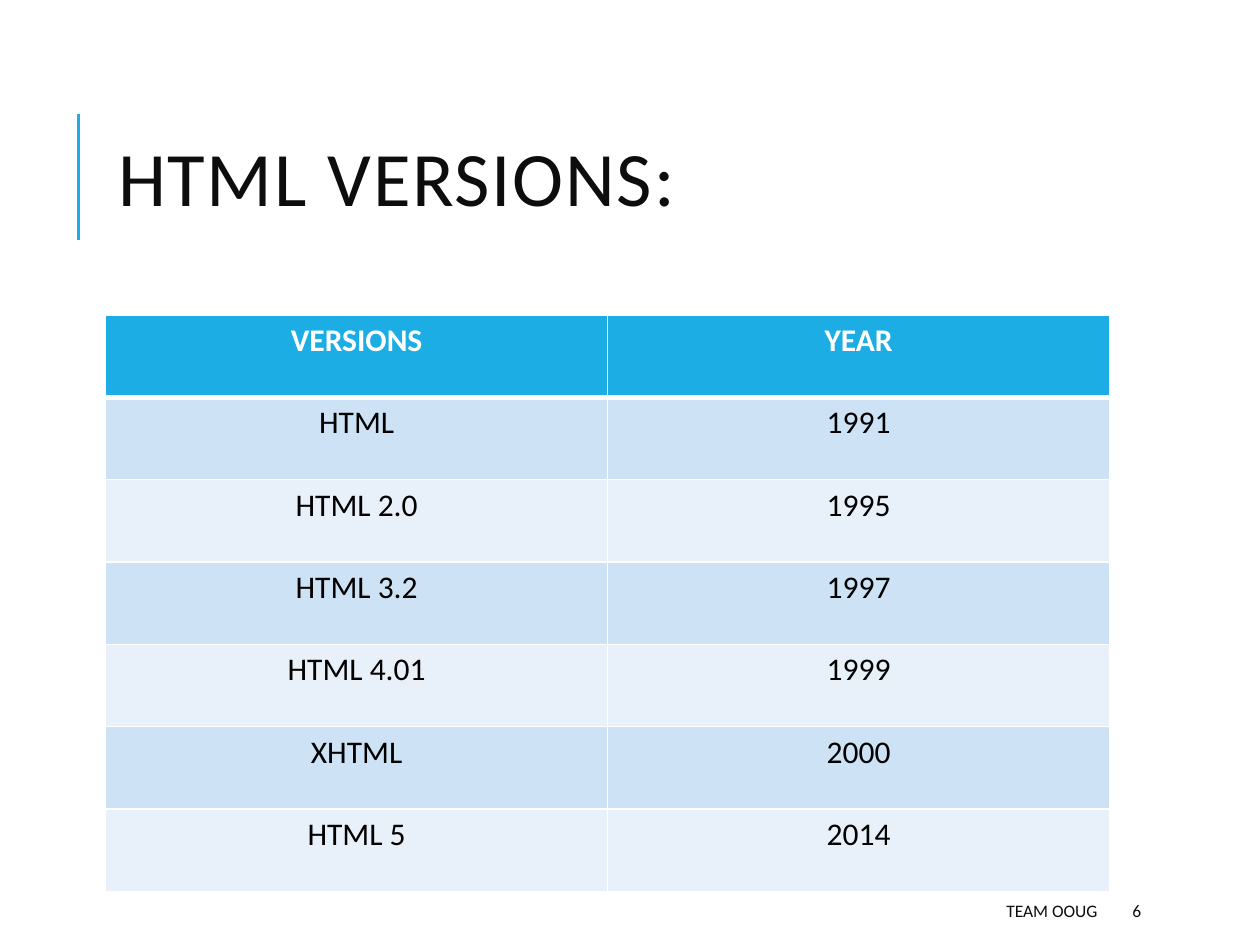
from lxml.etree import SubElement
from pptx import Presentation
from pptx.dml.color import RGBColor
from pptx.enum.shapes import MSO_CONNECTOR
from pptx.enum.text import MSO_ANCHOR, PP_ALIGN
from pptx.oxml.ns import qn
from pptx.util import Cm, Pt

# Content
TITLE = "HTML VERSIONS:"
VERSIONS = [
    ("VERSIONS", "YEAR"),
    ("HTML", "1991"),
    ("HTML 2.0", "1995"),
    ("HTML 3.2", "1997"),
    ("HTML 4.01", "1999"),
    ("XHTML", "2000"),
    ("HTML 5", "2014"),
]
FOOTER = "TEAM OOUG"
PAGE = "6"

THEME = {
    "font": "Calibri",
    "accent": "1CADE4",
    "ink": "0D0D0D",
    "body": "000000",
    "white": "FFFFFF",
    "bands": ("CDE3F5", "E8F1FA"),
    "title_size": 44,
    "table_size": 18,
    "footer_size": 10,
}

# Layout in centimetres
LEFT, WIDTH = 2.13, 20.24
TABLE_TOP, ROW_HEIGHT = 6.35, 1.66
FOOTER_TOP, FOOTER_HEIGHT = 17.98, 0.76


def write(frame, text, *, size, color=THEME["ink"], bold=False,
          align=PP_ALIGN.LEFT, line_spacing=None, tracking=None):
    paragraph = frame.paragraphs[0]
    paragraph.alignment = align
    paragraph.line_spacing = line_spacing
    run = paragraph.add_run()
    run.text = text
    run.font.name = THEME["font"]
    run.font.size = Pt(size)
    run.font.bold = bold
    run.font.color.rgb = RGBColor.from_string(color)
    if tracking:
        run.font._element.set("spc", str(tracking * 100))


def add_text(slide, text, box, **style):
    frame = slide.shapes.add_textbox(*map(Cm, box)).text_frame
    frame.word_wrap = True
    frame.vertical_anchor = MSO_ANCHOR.MIDDLE
    write(frame, text, **style)


def set_borders(cell, **widths):
    properties = cell._tc.get_or_add_tcPr()
    for side in "LRTB":
        line = SubElement(properties, qn(f"a:ln{side}"), w=str(Pt(widths.get(side, 1))))
        fill = SubElement(line, qn("a:solidFill"))
        SubElement(fill, qn("a:srgbClr"), val=THEME["white"])


def add_versions_table(slide):
    rows, columns = len(VERSIONS), len(VERSIONS[0])
    table = slide.shapes.add_table(
        rows, columns, Cm(LEFT), Cm(TABLE_TOP), Cm(WIDTH), Cm(ROW_HEIGHT * rows)
    ).table
    for r, entries in enumerate(VERSIONS):
        header = r == 0
        table.rows[r].height = Cm(ROW_HEIGHT)
        for c, entry in enumerate(entries):
            cell = table.cell(r, c)
            # The rule under the header is heavier than the rest
            set_borders(cell, B=3 if header else 1, T=3 if r == 1 else 1)
            cell.fill.solid()
            cell.fill.fore_color.rgb = RGBColor.from_string(
                THEME["accent"] if header else THEME["bands"][(r - 1) % 2])
            write(cell.text_frame, entry, size=THEME["table_size"], bold=header,
                  color=THEME["white" if header else "body"], align=PP_ALIGN.CENTER)


def main():
    deck = Presentation()
    deck.slide_width, deck.slide_height = Cm(25.4), Cm(19.05)
    slide = deck.slides.add_slide(deck.slide_layouts[6])

    # Accent bar and title
    accent = slide.shapes.add_connector(
        MSO_CONNECTOR.STRAIGHT, Cm(1.58), Cm(4.83), Cm(1.58), Cm(2.29))
    accent.line.color.rgb = RGBColor.from_string(THEME["accent"])
    accent.line.width = Pt(1.5)
    SubElement(accent._element.spPr, qn("a:effectLst"))
    add_text(slide, TITLE, (LEFT, 1.63, WIDTH, 4.17), size=THEME["title_size"],
             line_spacing=0.8, tracking=1)

    add_versions_table(slide)

    # Footer and page number
    add_text(slide, FOOTER, (10.08, FOOTER_TOP, 12.29, FOOTER_HEIGHT),
             size=THEME["footer_size"], align=PP_ALIGN.RIGHT)
    add_text(slide, PAGE, (22.58, FOOTER_TOP, 2.03, FOOTER_HEIGHT),
             size=THEME["footer_size"])

    deck.save("out.pptx")


if __name__ == "__main__":
    main()
